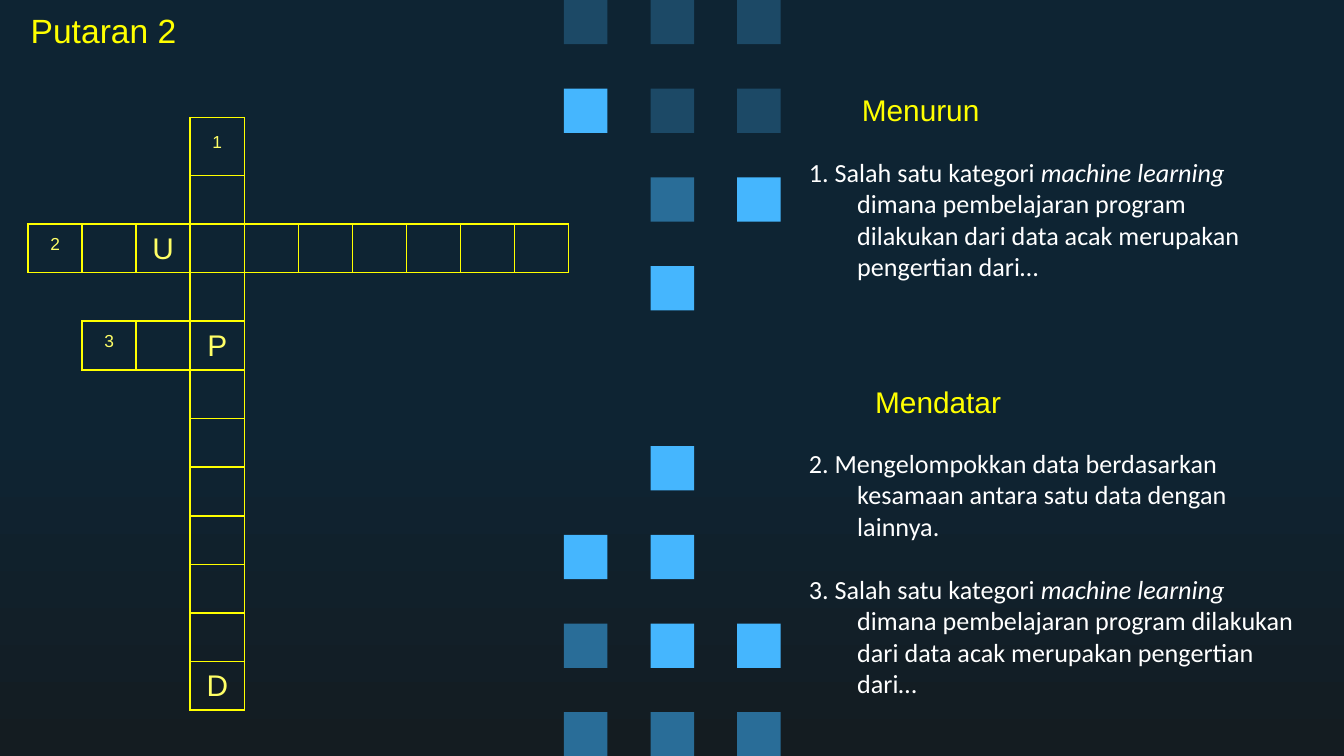
from dataclasses import dataclass

from lxml import etree
from pptx import Presentation, util as u
from pptx.dml.color import RGBColor
from pptx.enum import shapes, text
from pptx.oxml.ns import qn


@dataclass(frozen=True)
class Theme:
    navy: str = "0E2433"
    night: str = "141C21"
    yellow: str = "FFFF00"
    letter: str = "FFFF66"
    white: str = "FFFFFF"
    bright: str = "45B6FE"
    medium: str = "296D98"
    dim: str = "1C4966"
    heading_font: str = "Arial"
    body_font: str = "Calibri"
    title_size: int = 18
    heading_size: int = 16
    body_size: int = 14
    clue_gap: int = 17
    no_table_style: str = "{2D5ABB26-0587-4C30-8999-92F81FD0307C}"


class CrosswordSlide:
    """Places elements on a grid of 100 columns by 56.25 rows."""

    COLUMNS, ROWS = 100, 56.25

    def __init__(self, presentation, theme):
        self.theme = theme
        self.column = presentation.slide_width / self.COLUMNS
        self.row = presentation.slide_height / self.ROWS
        self.slide = presentation.slides.add_slide(presentation.slide_layouts[6])

    def box(self, left, top, width, height):
        return (u.Emu(round(left * self.column)), u.Emu(round(top * self.row)),
                u.Emu(round(width * self.column)), u.Emu(round(height * self.row)))

    def background(self):
        fill = self.slide.background.fill
        fill.gradient()
        fill.gradient_angle = 270
        stops = ((0.56, self.theme.navy), (1, self.theme.night))
        for stop, (position, color) in zip(fill.gradient_stops, stops):
            stop.position = position
            stop.color.rgb = RGBColor.from_string(color)

    def square(self, left, top, color):
        shape = self.slide.shapes.add_shape(
            shapes.MSO_SHAPE.RECTANGLE, *self.box(left, top, 3.24, 3.3))
        shape.shadow.inherit = False
        shape.fill.solid()
        shape.fill.fore_color.rgb = RGBColor.from_string(color)
        shape.line.fill.background()

    def run(self, paragraph, words, size, font, color, italic=False):
        run = paragraph.add_run()
        run.text = words
        run.font.size = u.Pt(size)
        run.font.name = font
        run.font.italic = italic
        run.font.color.rgb = RGBColor.from_string(color)
        return run

    def text_frame(self, box):
        frame = self.slide.shapes.add_textbox(*self.box(*box)).text_frame
        frame.word_wrap = True
        frame.vertical_anchor = text.MSO_ANCHOR.MIDDLE
        frame.margin_left = frame.margin_right = u.Inches(0.1)
        frame.margin_top = frame.margin_bottom = u.Inches(0.1)
        return frame

    def heading(self, box, words, size, align=text.PP_ALIGN.CENTER):
        paragraph = self.text_frame(box).paragraphs[0]
        paragraph.alignment = align
        self.run(paragraph, words, size, self.theme.heading_font, self.theme.yellow)

    def clues(self, box, clues):
        """Each clue is a list of runs; every second run is italic."""
        frame = self.text_frame(box)
        for number, clue in enumerate(clues):
            paragraph = frame.add_paragraph() if number else frame.paragraphs[0]
            if number:
                paragraph.space_before = u.Pt(self.theme.clue_gap)
            properties = paragraph._p.get_or_add_pPr()
            properties.set("marL", str(u.Inches(0.5)))
            properties.set("indent", str(u.Inches(-0.36)))
            for index, words in enumerate(clue):
                self.run(paragraph, words, self.theme.body_size, self.theme.body_font,
                         self.theme.white, italic=index % 2 == 1)

    def outline(self, cell):
        properties = cell._tc.get_or_add_tcPr()
        for side in ("lnL", "lnR", "lnT", "lnB"):
            line = etree.SubElement(properties, qn(f"a:{side}"), w=str(u.Pt(1)))
            fill = etree.SubElement(line, qn("a:solidFill"))
            etree.SubElement(fill, qn("a:srgbClr"), val=self.theme.yellow)

    def crossword(self, box, pattern, first_row):
        """Dots are open cells, spaces are unused ones; digits are clue numbers."""
        row_count, column_count = len(pattern), len(pattern[0])
        frame = self.slide.shapes.add_table(row_count, column_count, *self.box(*box))
        table = frame.table
        table.first_row = table.horz_banding = False
        table._tbl.tblPr.find(qn("a:tableStyleId")).text = self.theme.no_table_style
        other_rows = (box[3] - first_row) / (row_count - 1)
        for index, row in enumerate(table.rows):
            row.height = u.Emu(round((other_rows if index else first_row) * self.row))
        for row, marks in enumerate(pattern):
            for column, mark in enumerate(marks):
                cell = table.cell(row, column)
                cell.margin_left = cell.margin_right = cell.margin_top = u.Inches(0.01)
                cell.margin_bottom = 0
                cell.vertical_anchor = text.MSO_ANCHOR.MIDDLE
                if mark != " ":
                    self.outline(cell)
                cell.fill.background()
                if mark.isalnum():
                    self.mark(cell.text_frame.paragraphs[0], mark)

    def mark(self, paragraph, mark):
        paragraph.alignment = text.PP_ALIGN.CENTER
        run = self.run(paragraph, mark, self.theme.heading_size,
                       self.theme.heading_font, self.theme.letter)
        if mark.isdigit():
            run.font._element.set("baseline", "30000")


SQUARE_GRIDS = {0: ("ddd", "bdd", " mb", " b "),
                33.2: (" b ", "bb ", "mbb", "mmm")}

CROSSWORD = ("   1      ",
             "   .      ",
             "2.U.......",
             "   .      ",
             " 3.P      ",
             *["   .      "] * 6,
             "   D      ")

CATEGORY_CLUE = ("Salah satu kategori ", "machine learning ",
                 "dimana pembelajaran program dilakukan dari data acak "
                 "merupakan pengertian dari…")


def category_clue(number):
    start, *rest = CATEGORY_CLUE
    return [f"{number}. {start}", *rest]


def main():
    presentation = Presentation()
    presentation.slide_width = u.Inches(10)
    presentation.slide_height = u.Emu(presentation.slide_width * 9 // 16)
    theme = Theme()
    page = CrosswordSlide(presentation, theme)
    page.background()

    colors = {"b": theme.bright, "m": theme.medium, "d": theme.dim}
    for top, grid in SQUARE_GRIDS.items():
        for row, marks in enumerate(grid):
            for column, mark in enumerate(marks):
                if mark in colors:
                    page.square(41.95 + 6.45 * column, top + 6.6 * row, colors[mark])

    page.heading((1.3, 0.6, 32.2, 3.3), "Putaran 2", theme.title_size,
                 text.PP_ALIGN.LEFT)
    page.heading((51.6, 3.6, 33.8, 9.1), "Menurun", theme.heading_size)
    page.clues((57.8, 10.5, 38.8, 11.6), [category_clue(1)])
    page.heading((52.9, 25.3, 33.8, 9.1), "Mendatar", theme.heading_size)
    page.clues((57.8, 31.6, 39.9, 22.1), [
        ["2. Mengelompokkan data berdasarkan kesamaan antara satu data dengan lainnya."],
        category_clue(3)])
    page.crossword((2.1, 8.75, 40.2, 44.1), CROSSWORD, first_row=4.3)

    presentation.save("out.pptx")


if __name__ == "__main__":
    main()
